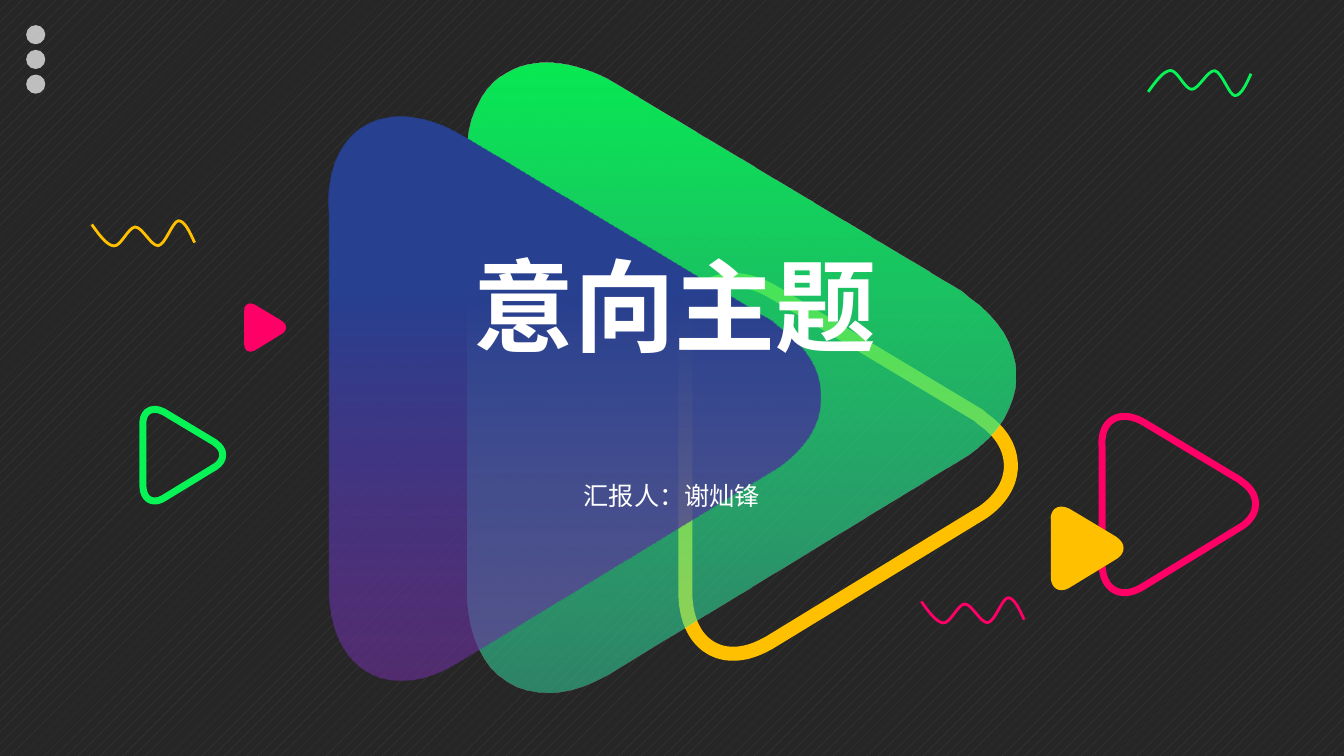
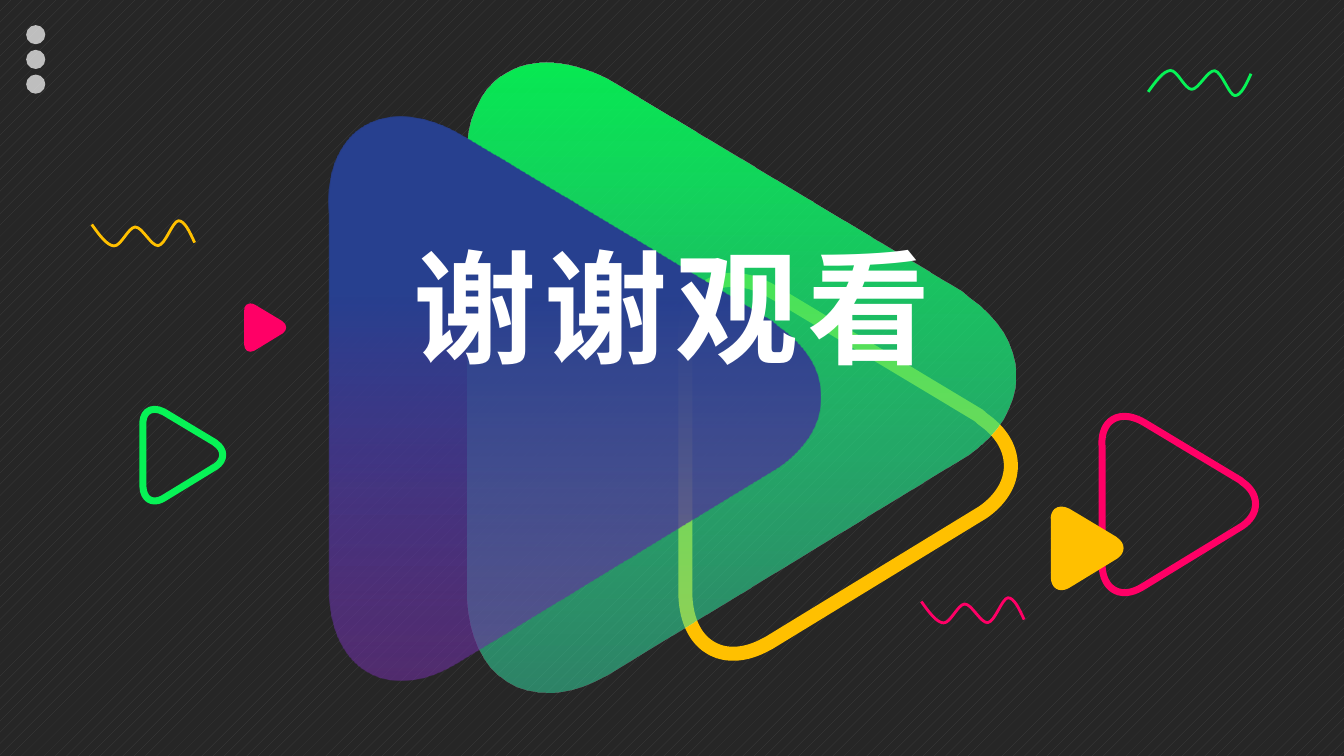
"""Builds the opening and closing slides of a dark deck with rounded triangles."""
from dataclasses import dataclass

from lxml import etree
from pptx import Presentation, util as u
from pptx.dml import color as c
from pptx.enum import dml, shapes, text
from pptx.oxml import ns

PATH_SIZE = 1000
TRIANGLE_RATIO = 0.87
TRIANGLE = [
    ("M", (1000, 498)),
    ("C", (1000, 546), (967, 590), (914, 622)),
    ("L", (257, 971)),
    ("L", (235, 981)),
    ("C", (178, 1005), (119, 1008), (73, 982)),
    ("C", (28, 957), (4, 909), (0, 851)),
    ("L", (0, 173)),
    ("C", (-6, 114), (11, 62), (51, 30)),
    ("C", (103, -10), (180, -8), (257, 27)),
    ("L", (279, 38)),
    ("L", (901, 363)),
    ("L", (914, 373)),
    ("C", (967, 405), (1000, 448), (1000, 498)),
    ("Z",),
]
WAVE = [
    ("M", (0, 150)),
    ("C", (75, 580), (147, 980), (216, 1000)),
    ("C", (284, 1020), (353, 270), (422, 250)),
    ("C", (490, 240), (578, 1020), (647, 990)),
    ("C", (716, 950), (784, 30), (843, 0)),
    ("C", (902, 0), (951, 430), (1000, 870)),
]
FLIPPED_WAVE = [
    (command, *((x, PATH_SIZE - y) for x, y in points)) for command, *points in WAVE
]
PATH_TAGS = {"M": "a:moveTo", "L": "a:lnTo", "C": "a:cubicBezTo", "Z": "a:close"}


@dataclass(frozen=True)
class Theme:
    width: int = u.Inches(13.333)
    height: int = u.Inches(7.5)
    font: str = "Noto Sans CJK SC"
    ground: str = "262626"
    hatch: str = "404040"
    white: str = "FFFFFF"
    pink: str = "FF0066"
    amber: str = "FFC000"
    green: str = "07F356"
    green_fade: tuple = ((0, "07F757", 94), (1, "36DEA6", 51))
    blue_fade: tuple = ((0.31, "27408F", 100), (1, "7030A0", 58))
    cover_size: int = 72
    closing_size: int = 88
    reporter_size: int = 18


THEME = Theme()


def columns(percent):
    return round(THEME.width * percent / 100)


def rows(percent):
    return round(THEME.height * percent / 100)


def rgb(value):
    return c.RGBColor.from_string(value)


def apply_format(target, values):
    for name, value in values.items():
        setattr(target, name, value)


def set_opacity(shape, percents):
    colours = shape._element.spPr.iter(ns.qn("a:srgbClr"))
    for colour, percent in zip(list(colours), percents):
        etree.SubElement(colour, ns.qn("a:alpha"), val=str(percent * 1000))


def paint(shape, fill=None, opacity=100, fade=None, line=None, weight=0):
    shape.shadow.inherit = False
    if fade:
        shape.fill.gradient()
        shape.fill.gradient_angle = 270
        for stop, (position, colour, _) in zip(shape.fill.gradient_stops, fade):
            stop.color.rgb = rgb(colour)
            stop.position = position
        set_opacity(shape, [percent for _, _, percent in fade])
    elif fill:
        shape.fill.solid()
        shape.fill.fore_color.rgb = rgb(fill)
        set_opacity(shape, [opacity])
    else:
        shape.fill.background()
    if line:
        shape.line.color.rgb = rgb(line)
        shape.line.width = u.Pt(weight)
    else:
        shape.line.fill.background()


def add_curve(slide, outline, left, top, width, height, **style):
    builder = slide.shapes.build_freeform(0, 0)
    builder.add_line_segments([(PATH_SIZE, PATH_SIZE)], close=False)
    shape = builder.convert_to_shape()
    curve = shape._element.find(".//" + ns.qn("a:path"))
    curve.clear()
    apply_format(shape, {"left": left, "top": top, "width": width, "height": height})
    for name in ("w", "h"):
        curve.set(name, str(PATH_SIZE))
    for command, *points in outline:
        segment = etree.SubElement(curve, ns.qn(PATH_TAGS[command]))
        for x, y in points:
            etree.SubElement(segment, ns.qn("a:pt"), x=str(x), y=str(y))
    paint(shape, **style)
    return shape


def add_triangle(slide, centre_x, centre_y, size, **style):
    height = rows(size)
    width = round(height * TRIANGLE_RATIO)
    left, top = columns(centre_x) - width // 2, rows(centre_y) - height // 2
    return add_curve(slide, TRIANGLE, left, top, width, height, **style)


def add_wave(slide, left, top, colour, outline=WAVE):
    add_curve(slide, outline, columns(left), rows(top), columns(7.65), rows(3.33),
              line=colour, weight=2)


def add_menu_dots(slide):
    dots = []
    for index in range(3):
        dot = slide.shapes.add_shape(
            shapes.MSO_SHAPE.OVAL, columns(1.95), rows(3.33 + 3.27 * index),
            rows(2.53), rows(2.53))
        paint(dot, fill=THEME.white, opacity=70)
        dots.append(dot)
    slide.shapes.add_group_shape(dots)


def add_caption(slide, words, left, top, width, height, size, bold=False, spacing=0):
    box = slide.shapes.add_textbox(
        columns(left), rows(top), columns(width), rows(height))
    apply_format(box.text_frame, {
        "word_wrap": True, "vertical_anchor": text.MSO_ANCHOR.MIDDLE})
    paragraph = box.text_frame.paragraphs[0]
    paragraph.alignment = text.PP_ALIGN.CENTER
    run = paragraph.add_run()
    run.text = words
    run.font.color.rgb = rgb(THEME.white)
    apply_format(run.font, {"name": THEME.font, "size": u.Pt(size), "bold": bold})
    properties = run._r.get_or_add_rPr()
    etree.SubElement(properties, ns.qn("a:ea"), typeface=THEME.font)
    if spacing:
        properties.set("spc", str(spacing * 100))


def add_decorated_slide(presentation):
    slide = presentation.slides.add_slide(presentation.slide_layouts[6])
    ground = slide.background.fill
    ground.patterned()
    ground.pattern = dml.MSO_PATTERN.PERCENT_10
    ground.fore_color.rgb = rgb(THEME.hatch)
    ground.back_color.rgb = rgb(THEME.ground)

    slide.shapes.add_group_shape([
        add_triangle(slide, 87.71, 66.73, 23.33, line=THEME.pink, weight=5),
        add_triangle(slide, 80.89, 72.53, 11.07, fill=THEME.amber),
    ])
    add_triangle(slide, 13.61, 60.2, 12.13, line=THEME.green, weight=5)
    add_triangle(slide, 19.73, 43.33, 6.4, fill=THEME.pink)
    slide.shapes.add_group_shape([
        add_triangle(slide, 63.11, 61.73, 49.47, line=THEME.amber, weight=10),
        add_triangle(slide, 55.16, 49.93, 83.33, fade=THEME.green_fade),
        add_triangle(slide, 42.75, 52.67, 74.67, fade=THEME.blue_fade),
    ])
    add_wave(slide, 85.43, 9.33, THEME.green, FLIPPED_WAVE)
    add_wave(slide, 6.83, 29.2, THEME.amber)
    add_wave(slide, 68.55, 79.07, THEME.pink)
    add_menu_dots(slide)
    return slide


def main():
    presentation = Presentation()
    apply_format(presentation, {
        "slide_width": THEME.width, "slide_height": THEME.height})

    cover = add_decorated_slide(presentation)
    add_caption(cover, "意向主题", 20.4, 31.47, 59.63, 17.47,
                THEME.cover_size, bold=True)
    add_caption(cover, "汇报人：谢灿锋", 41.18, 62.4, 17.63, 6.27,
                THEME.reporter_size)

    closing = add_decorated_slide(presentation)
    add_caption(closing, "谢谢观看", 23.63, 29.87, 52.73, 21.07,
                THEME.closing_size, bold=True, spacing=6)
    presentation.save("out.pptx")


if __name__ == "__main__":
    main()
